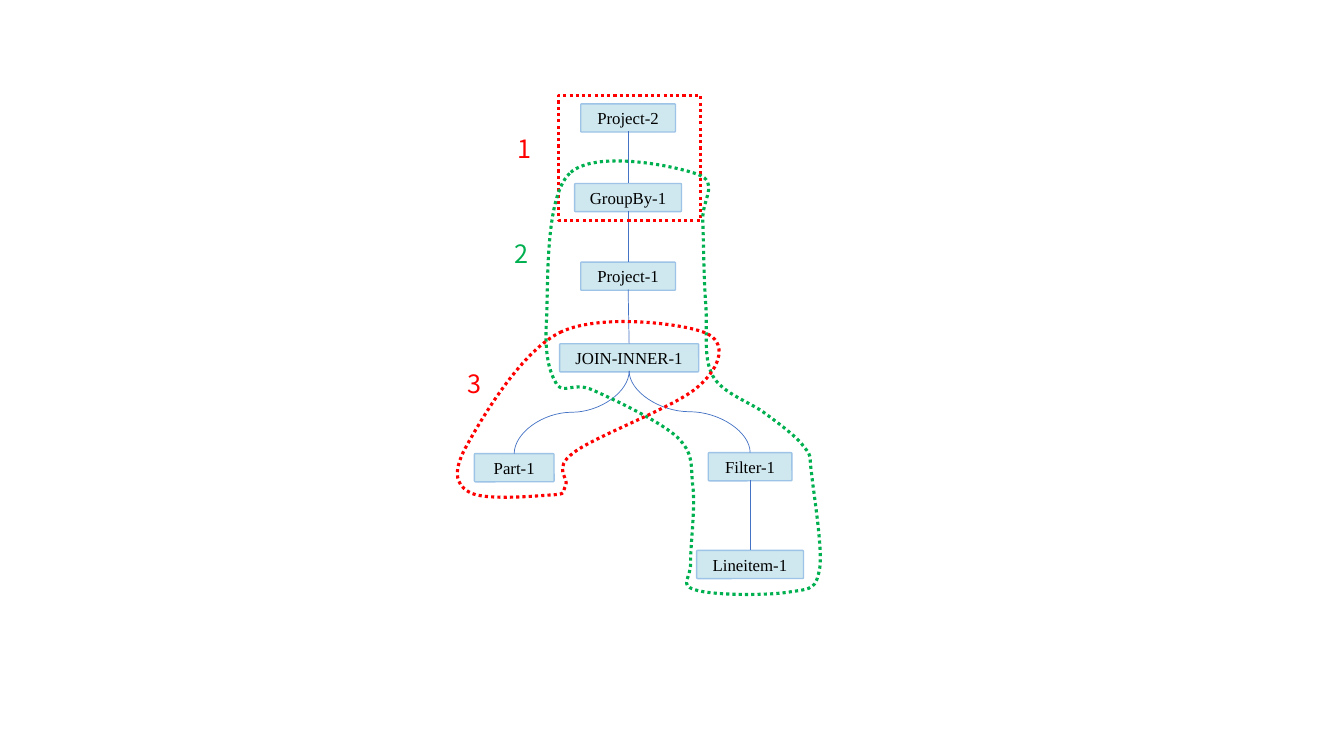
from lxml.etree import SubElement
from pptx import Presentation
from pptx.dml.color import RGBColor
from pptx.enum.dml import MSO_LINE
from pptx.enum.shapes import MSO_CONNECTOR, MSO_SHAPE
from pptx.enum.text import MSO_ANCHOR, PP_ALIGN
from pptx.oxml.ns import qn
from pptx.util import Inches, Pt

RED = RGBColor(0xFF, 0x00, 0x00)
GREEN = RGBColor(0x00, 0xB0, 0x50)
PALE = RGBColor(0xCF, 0xE8, 0xEF)
EDGE = RGBColor(0x9D, 0xC3, 0xE6)
BLUE = RGBColor(0x44, 0x72, 0xC4)
BLACK = RGBColor(0x00, 0x00, 0x00)

NODE_FONT = {"name": "Times New Roman", "size": Pt(12)}
MARK_FONT = {"name": "Noto Sans CJK SC", "size": Pt(18)}
NODE_LINE = {"width": Pt(1)}
LINK_LINE = {"width": Pt(0.5)}
DOTS = {"width": Pt(2.25), "dash_style": MSO_LINE.ROUND_DOT}


def style(part, form, color):
    """Apply format values and a colour to a font or a line."""
    for key, value in form.items():
        setattr(part, key, value)
    fill = part.fill
    fill.solid()
    fill.fore_color.rgb = color


def step(trail, tag, points, left, top):
    """Add one move or curve, measured from the corner of its shape."""
    node = SubElement(trail, qn(tag))
    for x, y in points:
        SubElement(node, qn("a:pt"), x=str(Inches(x - left)),
                   y=str(Inches(y - top)))


prs = Presentation()
prs.slide_width = Inches(13.33)
prs.slide_height = Inches(7.5)
slide = prs.slides.add_slide(prs.slide_layouts[6])
shapes = slide.shapes

# Plan nodes: centre, top, width
TALL = 0.28
nodes = {
    "Project-2": (6.23, 1.03, 0.94),
    "GroupBy-1": (6.23, 1.82, 1.06),
    "Project-1": (6.23, 2.6, 0.94),
    "JOIN-INNER-1": (6.24, 3.41, 1.38),
    "Part-1": (5.1, 4.5, 0.79),
    "Filter-1": (7.44, 4.49, 0.83),
    "Lineitem-1": (7.44, 5.46, 1.06),
}
for name, (mid, top, wide) in nodes.items():
    box = shapes.add_shape(MSO_SHAPE.ROUNDED_RECTANGLE, Inches(mid - wide / 2),
                           Inches(top), Inches(wide), Inches(TALL))
    box.adjustments[0] = 0.04
    box.shadow.inherit = False
    box.fill.solid()
    box.fill.fore_color.rgb = PALE
    style(box.line, NODE_LINE, EDGE)
    frame = box.text_frame
    frame.word_wrap = False
    frame.vertical_anchor = MSO_ANCHOR.MIDDLE
    para = frame.paragraphs[0]
    para.alignment = PP_ALIGN.CENTER
    run = para.add_run()
    run.text = name
    style(run.font, NODE_FONT, BLACK)

# Links from parent to child, curved where the child sits to one side
DROP = 0.27
links = [
    ("Project-2", "GroupBy-1"),
    ("GroupBy-1", "Project-1"),
    ("Project-1", "JOIN-INNER-1"),
    ("JOIN-INNER-1", "Part-1"),
    ("JOIN-INNER-1", "Filter-1"),
    ("Filter-1", "Lineitem-1"),
]
for start, end in links:
    x1, y1 = nodes[start][0], nodes[start][1] + DROP
    x2, y2 = nodes[end][:2]
    kind, turn = MSO_CONNECTOR.STRAIGHT, 0
    if abs(x2 - x1) > 0.1:
        # A quarter turn makes the curve leave and arrive vertically
        kind, turn = MSO_CONNECTOR.CURVE, 90 if x2 < x1 else 270
        mx, my = (x1 + x2) / 2, (y1 + y2) / 2
        dx, dy = abs(x2 - x1) / 2, (y2 - y1) / 2
        side = -dy if turn == 90 else dy
        x1, y1, x2, y2 = mx + side, my - dx, mx - side, my + dx
    link = shapes.add_connector(kind, Inches(x1), Inches(y1),
                                Inches(x2), Inches(y2))
    style(link.line, LINK_LINE, BLUE)
    props = link._element.spPr
    SubElement(props, qn("a:effectLst"))
    if turn:
        props.find(qn("a:xfrm")).set("rot", str(turn * 60000))

# Dotted group 1
group = shapes.add_shape(MSO_SHAPE.RECTANGLE, Inches(5.54), Inches(0.95),
                         Inches(1.41), Inches(1.24))
group.shadow.inherit = False
group.fill.background()
style(group.line, DOTS, RED)

# Dotted groups 2 and 3: colour, bounds, start and three points per curve
loops = [
    (GREEN, (5.41, 1.59, 2.72, 4.3), [
        (5.65, 1.72),
        (5.4, 1.96), (5.44, 2.84), (5.42, 3.18),
        (5.4, 3.53), (5.45, 3.69), (5.52, 3.81),
        (5.6, 3.92), (5.68, 3.78), (5.88, 3.87),
        (6.08, 3.96), (6.55, 4.18), (6.72, 4.34),
        (6.88, 4.5), (6.85, 4.6), (6.87, 4.81),
        (6.9, 5.01), (6.85, 5.39), (6.85, 5.56),
        (6.86, 5.74), (6.73, 5.8), (6.89, 5.85),
        (7.06, 5.91), (7.65, 5.91), (7.85, 5.87),
        (8.06, 5.84), (8.09, 5.84), (8.13, 5.64),
        (8.16, 5.44), (8.07, 4.9), (8.05, 4.7),
        (8.02, 4.5), (8.06, 4.54), (7.98, 4.44),
        (7.91, 4.34), (7.75, 4.22), (7.6, 4.11),
        (7.45, 3.99), (7.17, 3.91), (7.07, 3.73),
        (6.97, 3.55), (7.02, 3.28), (7, 3.02),
        (6.98, 2.76), (6.98, 2.41), (6.97, 2.19),
        (6.96, 1.98), (7.14, 1.81), (6.92, 1.73),
        (6.71, 1.65), (5.9, 1.48), (5.65, 1.72),
    ]),
    (RED, (4.54, 3.19, 2.59, 1.75), [
        (5.57, 3.29),
        (5.18, 3.47), (4.79, 4.13), (4.64, 4.4),
        (4.49, 4.66), (4.51, 4.8), (4.65, 4.88),
        (4.79, 4.97), (5.31, 4.92), (5.47, 4.91),
        (5.63, 4.9), (5.57, 4.89), (5.61, 4.82),
        (5.65, 4.74), (5.47, 4.65), (5.69, 4.49),
        (5.91, 4.32), (6.72, 4.03), (6.93, 3.83),
        (7.15, 3.64), (7.22, 3.39), (6.99, 3.3),
        (6.77, 3.21), (5.96, 3.11), (5.57, 3.29),
    ]),
]
for color, (left, top, wide, high), points in loops:
    pen = shapes.build_freeform(Inches(left), Inches(top))
    pen.add_line_segments([(Inches(left + wide), Inches(top + high))])
    loop = pen.convert_to_shape()
    loop.shadow.inherit = False
    loop.fill.background()
    style(loop.line, DOTS, color)
    # Curves take the place of the diagonal that set the bounds
    trail = next(loop._element.iter(qn("a:path")))
    for node in list(trail):
        trail.remove(node)
    step(trail, "a:moveTo", points[:1], left, top)
    for i in range(1, len(points), 3):
        step(trail, "a:cubicBezTo", points[i:i + 3], left, top)
    SubElement(trail, qn("a:close"))

# Group numbers
marks = [("1", 5.03, 1.27, RED), ("2", 5, 2.32, GREEN), ("3", 4.54, 3.6, RED)]
for text, left, top, color in marks:
    mark = shapes.add_textbox(Inches(left), Inches(top), Inches(0.41), Inches(0.4))
    mark.text_frame.word_wrap = True
    run = mark.text_frame.paragraphs[0].add_run()
    run.text = text
    style(run.font, MARK_FONT, color)

prs.save("out.pptx")
